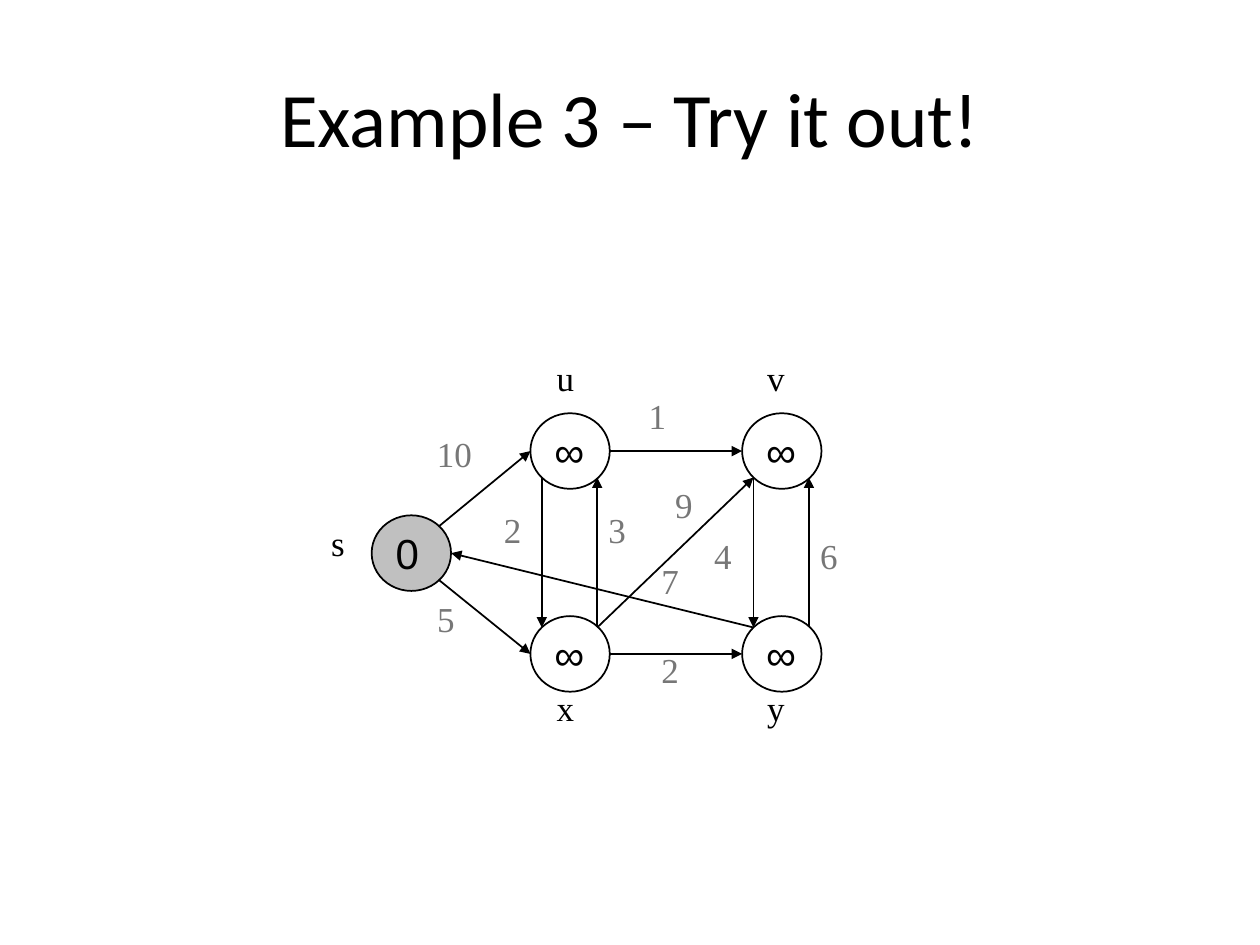
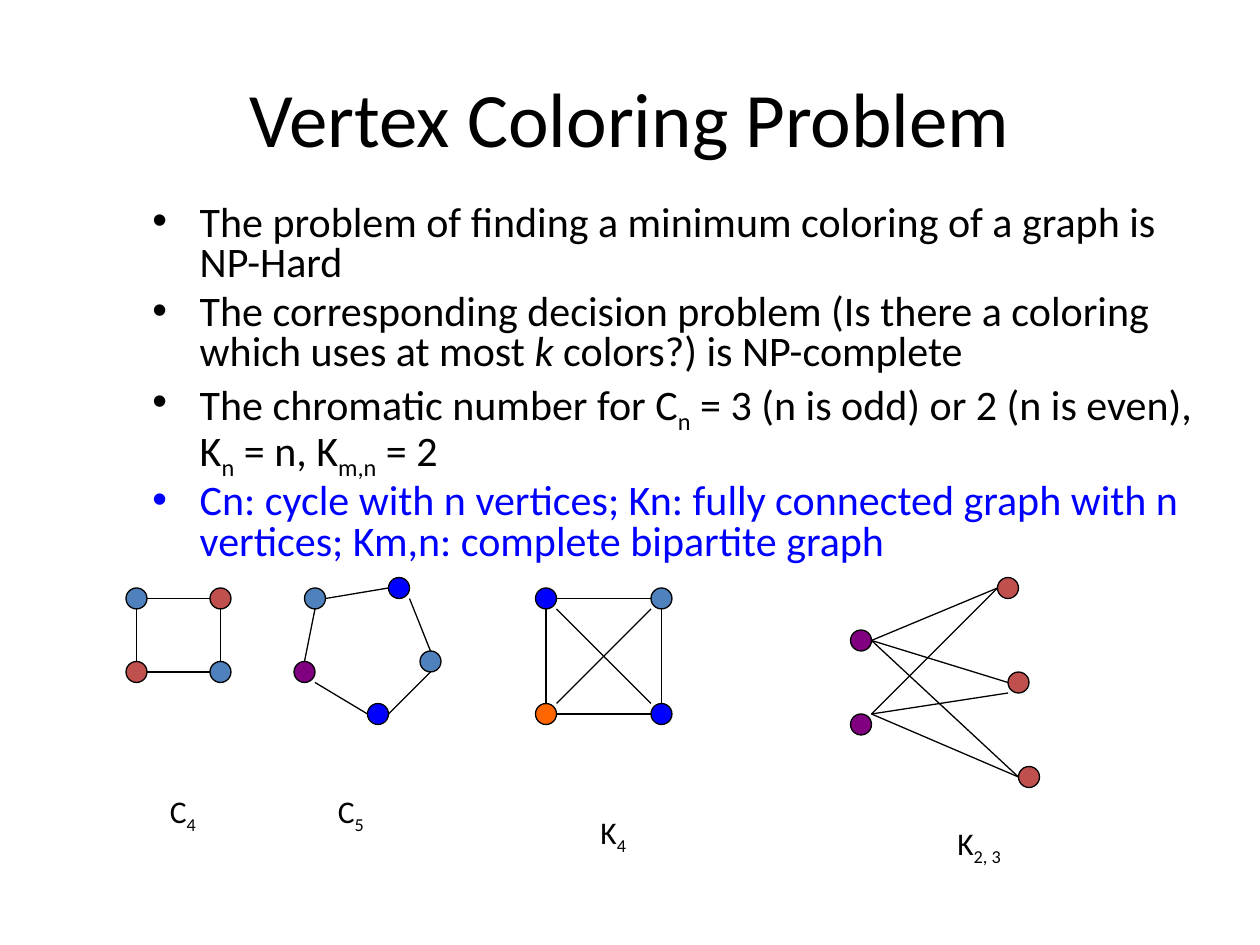
"""Build two graph slides: a shortest-path exercise and vertex coloring."""
from lxml import etree
from pptx import Presentation
from pptx import util as u
from pptx.dml.color import RGBColor
from pptx.enum import shapes, text
from pptx.oxml.ns import qn

BLACK = RGBColor(0x00, 0x00, 0x00)
WHITE = RGBColor(0xFF, 0xFF, 0xFF)
SILVER = RGBColor(0xC0, 0xC0, 0xC0)
GRAY = RGBColor(0x77, 0x77, 0x77)
STEEL = RGBColor(0x4F, 0x81, 0xBD)
RED = RGBColor(0xC0, 0x50, 0x4D)
BLUE = RGBColor(0x00, 0x00, 0xFF)
PURPLE = RGBColor(0x80, 0x00, 0x80)
ORANGE = RGBColor(0xFF, 0x66, 0x00)


def add_outlined(slide, kind, place, fill, outline, width):
    shape = slide.shapes.add_shape(kind, *[u.Inches(value) for value in place])
    shape.shadow.inherit = False
    if fill is None:
        shape.fill.background()
    else:
        shape.fill.solid()
        shape.fill.fore_color.rgb = fill
    shape.line.color.rgb = outline
    shape.line.width = u.Pt(width)
    shape.text_frame.word_wrap = False
    shape.text_frame.paragraphs[0].alignment = text.PP_ALIGN.LEFT
    return shape


def add_edge(slide, start, end, width, arrow=False):
    edge = slide.shapes.add_connector(
        shapes.MSO_CONNECTOR.STRAIGHT, *[u.Inches(value) for value in (*start, *end)])
    edge.line.color.rgb = BLACK
    edge.line.width = u.Pt(width)
    properties = edge._element.spPr
    if arrow:
        etree.SubElement(properties.find(qn("a:ln")), qn("a:tailEnd"), type="triangle")
    etree.SubElement(properties, qn("a:effectLst"))


deck = Presentation()
deck.slide_width, deck.slide_height = u.Inches(10), u.Inches(7.5)
path_page = deck.slides.add_slide(deck.slide_layouts[5])
coloring_page = deck.slides.add_slide(deck.slide_layouts[1])

for page, heading in ((path_page, "Example 3 – Try it out!"),
                      (coloring_page, "Vertex Coloring Problem")):
    title = page.shapes.title
    title.left, title.top = u.Inches(0.5), u.Inches(0.3)
    title.width, title.height = u.Inches(9), u.Inches(1.25)
    title.text_frame.text = heading
    para = title.text_frame.paragraphs[0]
    para.alignment = text.PP_ALIGN.CENTER
    para.font.name, para.font.size = "Calibri", u.Pt(44)
    para.font.color.rgb = BLACK

NODE_WIDTH, NODE_HEIGHT = 0.63, 0.6
nodes = {"u": (4.21, 3.28), "v": (5.89, 3.28), "x": (4.21, 4.89),
         "y": (5.89, 4.89), "s": (2.95, 4.09)}
ports = {"e": (0.63, 0.3), "w": (0, 0.3), "ne": (0.53, 0.09),
         "nw": (0.09, 0.09), "se": (0.53, 0.51), "sw": (0.09, 0.51)}
arrows = ["x.ne u.se", "u.sw x.nw", "u.e v.w", "x.ne v.sw", "v.sw y.nw",
          "y.ne v.se", "x.e y.w", "y.nw s.e", "s.se x.w", "s.ne u.w"]
names = [("s", 2.53, 4.09), ("u", 4.32, 2.78), ("v", 5.99, 2.78),
         ("y", 5.99, 5.4), ("x", 4.32, 5.4)]
weights = [("10", 3.37, 3.38), ("5", 3.37, 4.69), ("1", 5.05, 3.08),
           ("2", 3.9, 3.99), ("3", 4.73, 3.99), ("9", 5.26, 3.79),
           ("4", 5.57, 4.19), ("6", 6.41, 4.19), ("7", 5.15, 4.39), ("2", 5.15, 5.1)]

for name, (left, top) in nodes.items():
    is_source = name == "s"
    node = add_outlined(path_page, shapes.MSO_SHAPE.OVAL,
                        (left, top, NODE_WIDTH, NODE_HEIGHT),
                        SILVER if is_source else None, BLACK, 1)
    para = node.text_frame.paragraphs[0]
    para.text = "0" if is_source else "∞"
    para.font.name, para.font.size = "Arial", u.Pt(24)
    para.font.color.rgb = BLACK

for arrow in arrows:
    ends = []
    for end in arrow.split():
        name, port = end.split(".")
        ends.append([a + b for a, b in zip(nodes[name], ports[port])])
    add_edge(path_page, *ends, 1, arrow=True)

for color, labels in ((BLACK, names), (GRAY, weights)):
    for label, left, top in labels:
        box = path_page.shapes.add_textbox(
            u.Inches(left), u.Inches(top), u.Inches(0.63 if label == "10" else 0.42),
            u.Inches(0.52))
        box.text_frame.word_wrap = True
        para = box.text_frame.paragraphs[0]
        para.text = label
        para.font.name, para.font.size = "Times New Roman", u.Pt(20)
        para.font.color.rgb = color

bullets = [
    ("The problem of finding a minimum coloring of a graph is NP-Hard", BLACK),
    ("The corresponding decision problem (Is there a coloring which uses at most "
     "|*k| colors?) is NP-complete", BLACK),
    ("The chromatic number for C|_n| = 3 (n is odd) or 2 (n is even), "
     "K|_n| = n, K|_m,n| = 2", BLACK),
    ("Cn: cycle with n vertices; Kn: fully connected graph with n vertices; "
     "Km,n: complete bipartite graph", BLUE),
]
body = coloring_page.placeholders[1]
body.left, body.top = u.Inches(1.11), u.Inches(1.58)
body.width, body.height = u.Inches(8.5), u.Inches(1.96)
frame = body.text_frame
frame.auto_size = text.MSO_AUTO_SIZE.NONE
marked_lines = []
for index, (line, color) in enumerate(bullets):
    para = frame.add_paragraph() if index else frame.paragraphs[0]
    para.line_spacing = 0.8
    marked_lines.append((para, line, 24, color))

UNIT = 1 / 12
graphs = [
    {"label": ("C|_4", 15, 76, 3),
     "dots": [(12, 56, STEEL), (20, 56, RED), (12, 63, RED), (20, 63, STEEL)],
     "edges": [(14, 57, 20, 57), (14, 64, 20, 64), (21, 58, 21, 63), (13, 58, 13, 63)]},
    {"label": ("C|_5", 31, 76, 4),
     "dots": [(29, 56, STEEL), (28, 63, PURPLE), (35, 67, BLUE), (40, 62, STEEL),
              (37, 55, BLUE)],
     "edges": [(31, 57, 37, 56), (39, 57, 41, 62), (37, 68, 41, 64), (30, 65, 35, 68),
               (30, 58, 29, 63)]},
    {"label": ("K|_4", 56, 78, 4),
     "dots": [(51, 56, BLUE), (62, 56, STEEL), (51, 67, ORANGE), (62, 67, BLUE)],
     "edges": [(53, 57, 62, 57), (53, 68, 62, 68), (63, 58, 63, 67), (52, 58, 52, 67),
               (53, 58, 62, 67), (53, 67, 62, 58)]},
    {"label": ("K|_2, 3", 90, 79, 6),
     "dots": [(81, 60, PURPLE), (81, 68, PURPLE), (95, 55, RED), (96, 64, RED),
              (97, 73, RED)],
     "edges": [(83, 61, 95, 56), (83, 61, 96, 65), (83, 61, 97, 74), (83, 68, 95, 56),
               (83, 68, 96, 66), (83, 68, 97, 74)]},
]
for graph in graphs:
    for column, row, color in graph["dots"]:
        add_outlined(coloring_page, shapes.MSO_SHAPE.OVAL,
                     [UNIT * value for value in (column, row, 2, 2)], color, BLACK, 0.75)
    for edge in graph["edges"]:
        ends = [UNIT * value for value in edge]
        add_edge(coloring_page, ends[:2], ends[2:], 0.75)
    label, column, row, width = graph["label"]
    caption = add_outlined(coloring_page, shapes.MSO_SHAPE.RECTANGLE,
                           [UNIT * value for value in (column, row, width, 3)],
                           WHITE, WHITE, 0.75)
    marked_lines.append((caption.text_frame.paragraphs[0], label, 18, BLACK))

for para, line, size, color in marked_lines:
    para.font.name, para.font.size = "Calibri", u.Pt(size)
    para.font.color.rgb = color
    for piece in line.split("|"):
        span = para.add_run()
        span.text = piece.lstrip("_*")
        if piece.startswith("_"):
            span._r.get_or_add_rPr().set("baseline", "-25000")
        elif piece.startswith("*"):
            span.font.italic = True

deck.save("out.pptx")
